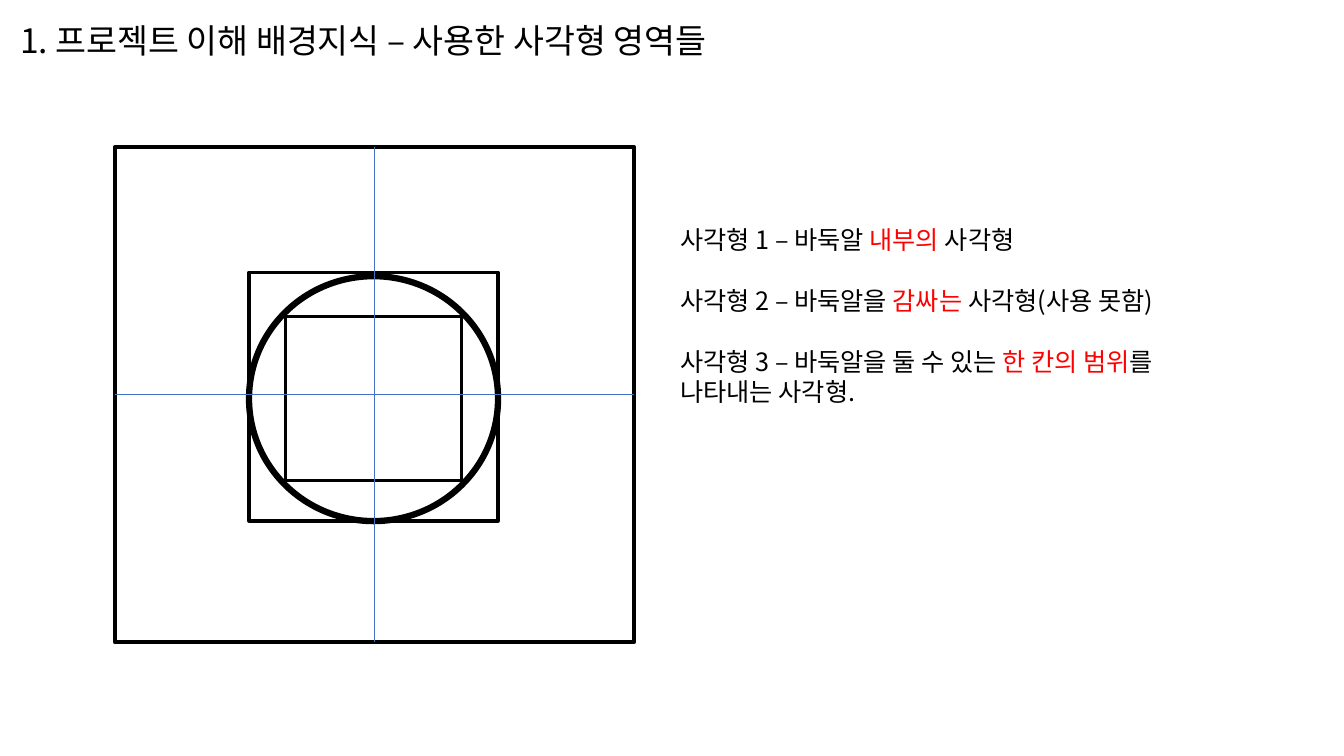
from lxml.etree import SubElement
from pptx import Presentation
from pptx.dml.color import RGBColor
from pptx.enum.shapes import MSO_CONNECTOR as CONNECTOR, MSO_SHAPE as SHAPE
from pptx.enum.text import MSO_ANCHOR as ANCHOR, MSO_AUTO_SIZE as AUTO_SIZE
from pptx.oxml.ns import qn
from pptx.util import Inches, Pt

BLACK = RGBColor(0x00, 0x00, 0x00)
RED = RGBColor(0xFF, 0x00, 0x00)
BLUE = RGBColor(0x44, 0x72, 0xC4)
FONT = "Noto Sans CJK KR"
TOP, LEFT, BOTTOM, RIGHT = range(4)

TITLE = [[("1. 프로젝트 이해 배경지식 – 사용한 사각형 영역들", BLACK)]]
DESCRIPTIONS = [
    [("사각형 1 – 바둑알 ", BLACK), ("내부의", RED), (" 사각형", BLACK)],
    [("사각형 2 – 바둑알을 ", BLACK), ("감싸는", RED),
     (" 사각형(사용 못함)", BLACK)],
    [("사각형 3 – 바둑알을 둘 수 있는 ", BLACK), ("한 칸의 범위", RED),
     ("를 나타내는 사각형.", BLACK)],
]


def add_span(para, text, color, size):
    """Add a run whose font also covers Hangul."""
    span = para.add_run()
    span.text = text
    for name, value in {"name": FONT, "size": Pt(size)}.items():
        setattr(span.font, name, value)
    span.font.color.rgb = color
    SubElement(span.font._element, qn("a:ea"), typeface=FONT)


def add_text(page, area, paragraphs, size, frame_format, para_format):
    box = page.shapes.add_textbox(*map(Inches, area))
    frame = box.text_frame
    for name, value in frame_format.items():
        setattr(frame, name, value)
    for index, spans in enumerate(paragraphs):
        para = frame.add_paragraph() if index else frame.paragraphs[0]
        for name, value in para_format.items():
            setattr(para, name, value)
        for text, color in spans:
            add_span(para, text, color, size)


def add_outline(page, kind, area, width):
    shape = page.shapes.add_shape(kind, *map(Inches, area))
    shape.shadow.inherit = False
    shape.fill.background()
    shape.line.color.rgb = BLACK
    shape.line.width = Pt(width)
    return shape


def add_center_line(page, cell, start, end):
    """Join the middles of two opposite sides of the cell."""
    line = page.shapes.add_connector(CONNECTOR.STRAIGHT, 0, 0, 0, 0)
    line.begin_connect(cell, start)
    line.end_connect(cell, end)
    line.line.color.rgb = BLUE
    line.line.width = Pt(0.5)
    SubElement(line._element.spPr, qn("a:effectLst"))


def main():
    deck = Presentation()
    deck.slide_width, deck.slide_height = Inches(13.33), Inches(7.5)
    page = deck.slides.add_slide(deck.slide_layouts[6])

    add_text(page, (0.1, 0.11, 10.49, 0.63), TITLE, 24,
             {"word_wrap": True, "vertical_anchor": ANCHOR.MIDDLE},
             {"line_spacing": 0.9})

    add_outline(page, SHAPE.OVAL, (2.47, 2.74, 2.47, 2.43), 4.5)
    add_outline(page, SHAPE.RECTANGLE, (2.83, 3.14, 1.75, 1.63), 2.25)
    add_outline(page, SHAPE.RECTANGLE, (2.47, 2.7, 2.47, 2.47), 2.25)
    cell = add_outline(page, SHAPE.RECTANGLE, (1.14, 1.46, 5.15, 4.91), 3)
    add_center_line(page, cell, TOP, BOTTOM)
    add_center_line(page, cell, LEFT, RIGHT)

    add_text(page, (6.65, 2.18, 5.7, 1.92), DESCRIPTIONS, 18,
             {"word_wrap": True, "auto_size": AUTO_SIZE.SHAPE_TO_FIT_TEXT},
             {"space_after": Pt(21.7)})

    deck.save("out.pptx")


if __name__ == "__main__":
    main()
